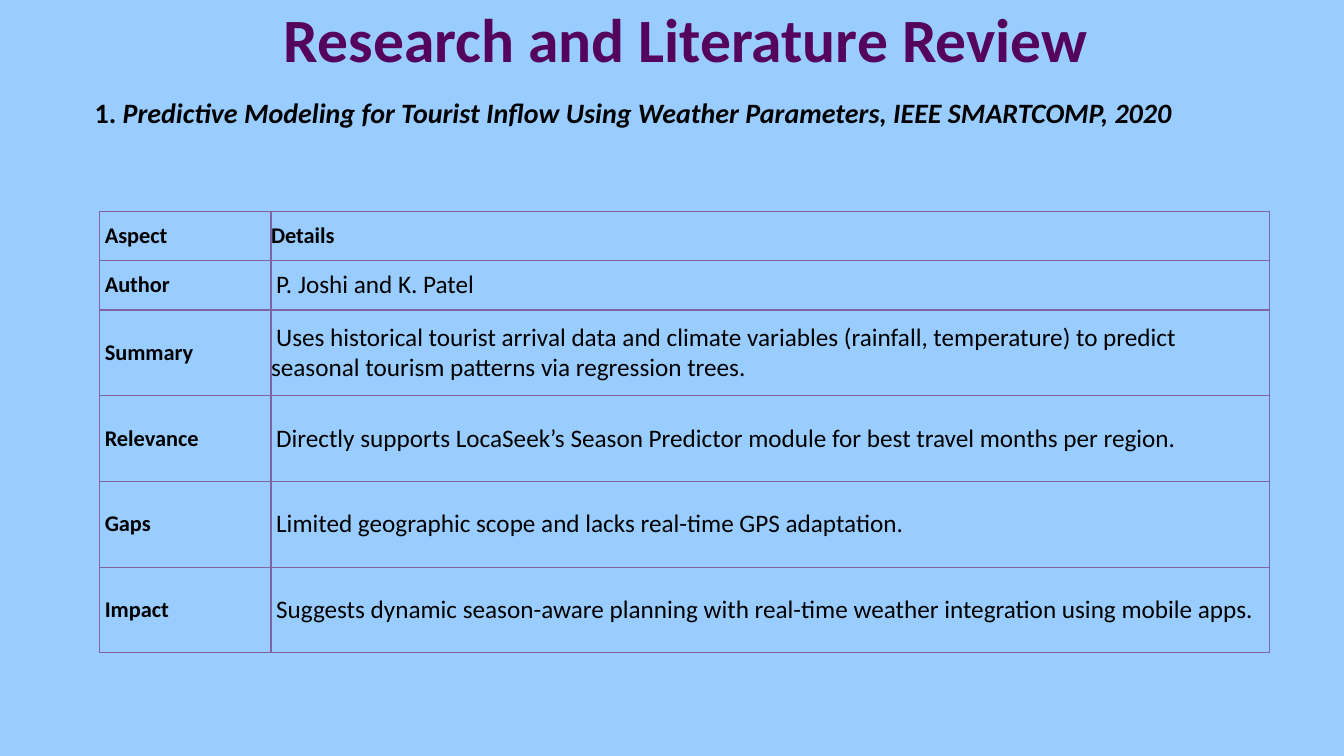
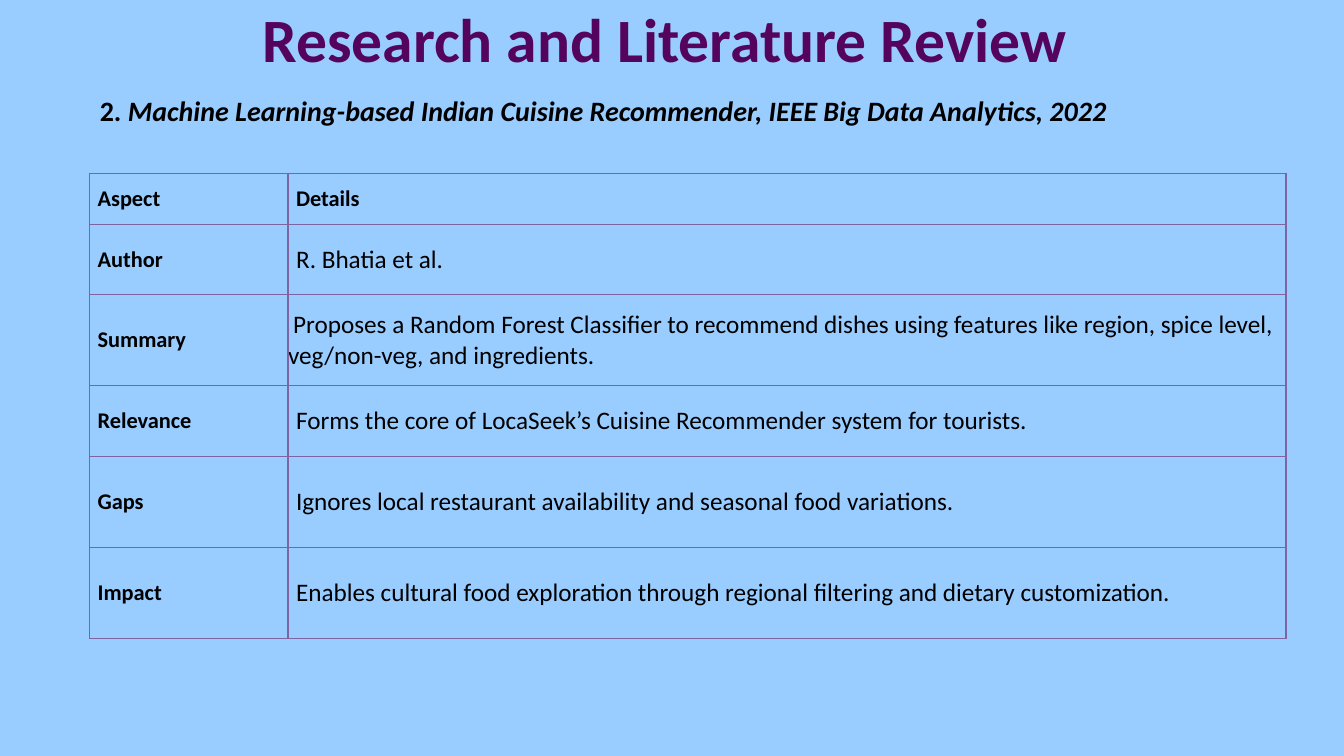
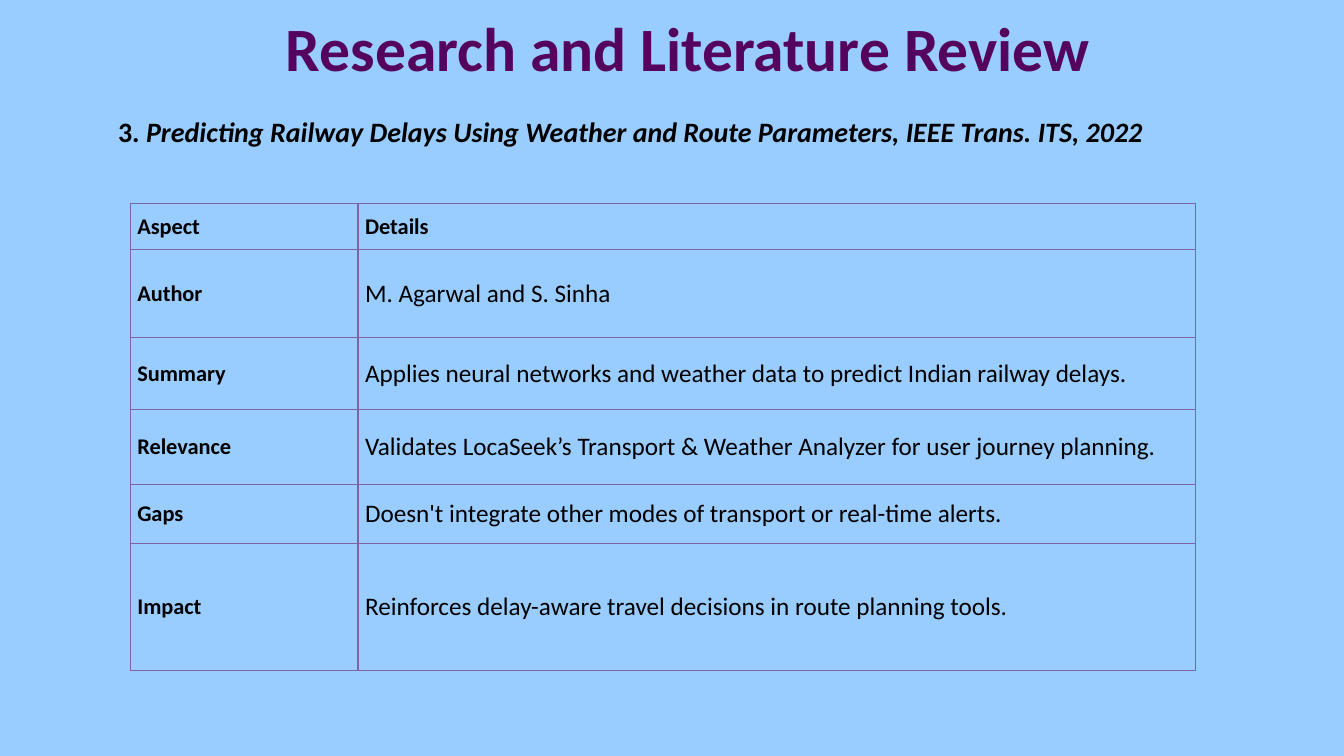
"""Build three literature review slides, each with a citation and a table of aspects."""
import pptx
import pptx.dml.color
import pptx.enum.text
import pptx.oxml
import pptx.oxml.ns
import pptx.util

Cm = pptx.util.Cm
Pt = pptx.util.Pt
MIDDLE = pptx.enum.text.MSO_ANCHOR.MIDDLE

SKY, PLUM, BORDER, BLACK = "99CCFF", "54045C", "8064A2", "000000"
HEADING = "Research and Literature Review"
ASPECTS = ["Aspect", "Author", "Summary", "Relevance", "Gaps", "Impact"]
FIRST_LINE_INDENT = 0.13

REVIEWS = [
    {
        "citation": "Predictive Modeling for Tourist Inflow Using Weather Parameters, IEEE SMARTCOMP, 2020",
        "details": [
            "Details",
            "P. Joshi and K. Patel",
            "Uses historical tourist arrival data and climate variables (rainfall, temperature) "
            "to predict seasonal tourism patterns via regression trees.",
            "Directly supports LocaSeek’s Season Predictor module for best travel months per region.",
            "Limited geographic scope and lacks real-time GPS adaptation.",
            "Suggests dynamic season-aware planning with real-time weather integration using mobile apps.",
        ],
        "heading_at": (2.24, -0.64),
        "citation_box": (2.13, 2.29, 29.06, 1.73),
        "table_at": (2.51, 5.33),
        "columns": [4.32, 25.17],
        "rows": [1.24] * 2 + [2.16] * 4,
        "inset": 0,
        "indented": [(row, column) for row in range(6) for column in range(2) if (row, column) != (0, 1)],
    },
    {
        "citation": "Machine Learning-based Indian Cuisine Recommender, IEEE Big Data Analytics, 2022",
        "details": [
            "Details",
            "R. Bhatia et al.",
            "Proposes a Random Forest Classifier to recommend dishes using features like region, "
            "spice level, veg/non-veg, and ingredients.",
            "Forms the core of LocaSeek’s Cuisine Recommender system for tourists.",
            "Ignores local restaurant availability and seasonal food variations.",
            "Enables cultural food exploration through regional filtering and dietary customization.",
        ],
        "heading_at": (1.7, -0.64),
        "citation_box": (2.26, 2.24, 29.31, 1.37),
        "table_at": (2.26, 4.37),
        "columns": [5.0, 25.15],
        "rows": [1.28, 1.78, 2.29, 1.78, 2.29, 2.29],
        "inset": 0.2,
        "indented": [(2, 1)],
    },
    {
        "citation": "Predicting Railway Delays Using Weather and Route Parameters, IEEE Trans. ITS, 2022",
        "details": [
            "Details",
            "M. Agarwal and S. Sinha",
            "Applies neural networks and weather data to predict Indian railway delays.",
            "Validates LocaSeek’s Transport & Weather Analyzer for user journey planning.",
            "Doesn't integrate other modes of transport or real-time alerts.",
            "Reinforces delay-aware travel decisions in route planning tools.",
        ],
        "heading_at": (2.29, -0.41),
        "citation_box": (2.72, 2.77, 29.62, 1.07),
        "table_at": (3.28, 5.13),
        "columns": [5.74, 21.11],
        "rows": [1.16, 2.21, 1.82, 1.89, 1.48, 3.2],
        "inset": 0.18,
        "indented": [],
    },
]


def rgb(value):
    """Turn a hex string into a colour."""
    return pptx.dml.color.RGBColor.from_string(value)


def write(paragraph, text, size=18, color=BLACK, bold=False, italic=False):
    """Add a formatted run to a paragraph."""
    run = paragraph.add_run()
    run.text = text
    run.font.name = "Calibri"
    run.font.size = Pt(size)
    run.font.color.rgb = rgb(color)
    run.font.bold = bold
    run.font.italic = italic


def place(placeholder, left, top, width, height):
    """Move a placeholder and switch off its text fitting."""
    placeholder.left, placeholder.top = Cm(left), Cm(top)
    placeholder.width, placeholder.height = Cm(width), Cm(height)
    placeholder.text_frame.auto_size = pptx.enum.text.MSO_AUTO_SIZE.NONE
    placeholder.text_frame.word_wrap = True


def add_heading(slide, left, top):
    """Fill the title placeholder with the shared heading."""
    heading = slide.shapes.title
    place(heading, left, top, 30.48, 3.18)
    heading.text_frame.vertical_anchor = MIDDLE
    heading.text_frame.margin_right = Cm(0.62)
    paragraph = heading.text_frame.paragraphs[0]
    paragraph.alignment = pptx.enum.text.PP_ALIGN.CENTER
    write(paragraph, HEADING, size=44, color=PLUM, bold=True)


def add_citation(slide, number, citation, box):
    """Fill the body placeholder with the numbered citation."""
    body = slide.placeholders[1]
    place(body, *box)
    paragraph = body.text_frame.paragraphs[0]
    properties = paragraph._p.get_or_add_pPr()
    properties.set("marL", "0")
    properties.set("indent", "0")
    properties.append(pptx.oxml.parse_xml(f"<a:buNone {pptx.oxml.ns.nsdecls('a')}/>"))
    paragraph.space_before = Pt(0)
    write(paragraph, f"{number}. ", size=20, bold=True)
    write(paragraph, citation, size=20, bold=True, italic=True)


def draw_borders(cell):
    """Put a thin line on all four sides of a cell."""
    properties = cell._tc.get_or_add_tcPr()
    for position, side in enumerate(("lnL", "lnR", "lnT", "lnB")):
        properties.insert(position, pptx.oxml.parse_xml(
            f'<a:{side} {pptx.oxml.ns.nsdecls("a")} w="{Pt(1)}"><a:solidFill>'
            f'<a:srgbClr val="{BORDER}"/></a:solidFill></a:{side}>'))


def add_review_table(slide, review):
    """Add the table of aspects and details."""
    left, top = review["table_at"]
    columns, rows = review["columns"], review["rows"]
    table = slide.shapes.add_table(
        len(rows), len(columns), Cm(left), Cm(top), Cm(sum(columns)), Cm(sum(rows))).table
    table.first_row = table.horz_banding = False
    for column, width in zip(table.columns, columns):
        column.width = Cm(width)
    for row, height in zip(table.rows, rows):
        row.height = Cm(height)
    for row_index, texts in enumerate(zip(ASPECTS, review["details"])):
        for column_index, text in enumerate(texts):
            cell = table.cell(row_index, column_index)
            indented = (row_index, column_index) in review["indented"]
            inset = 0 if indented else review["inset"]
            cell.margin_left = cell.margin_right = Cm(inset)
            cell.margin_top = cell.margin_bottom = Cm(inset / 2)
            cell.vertical_anchor = MIDDLE
            cell.fill.solid()
            cell.fill.fore_color.rgb = rgb(SKY)
            draw_borders(cell)
            paragraph = cell.text_frame.paragraphs[0]
            if indented:
                paragraph._p.get_or_add_pPr().set("indent", str(Cm(FIRST_LINE_INDENT)))
            label = row_index == 0 or column_index == 0
            write(paragraph, text, size=16 if label else 18, bold=label)


def main():
    """Build and save the presentation."""
    deck = pptx.Presentation()
    deck.slide_width, deck.slide_height = Cm(33.87), Cm(19.05)
    background = deck.slide_master.background.fill
    background.solid()
    background.fore_color.rgb = rgb(SKY)
    for number, review in enumerate(REVIEWS, start=1):
        slide = deck.slides.add_slide(deck.slide_layouts[1])
        add_heading(slide, *review["heading_at"])
        add_citation(slide, number, review["citation"], review["citation_box"])
        add_review_table(slide, review)
    deck.save("out.pptx")


if __name__ == "__main__":
    main()
